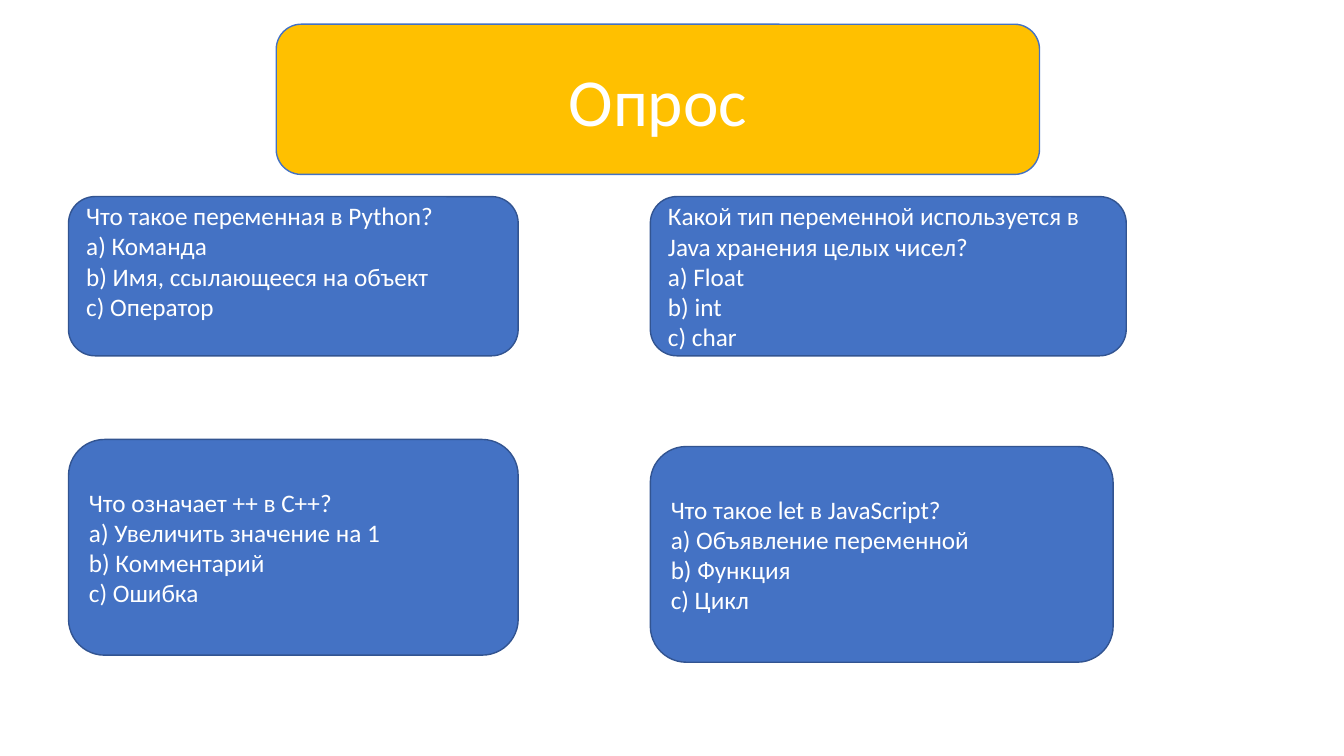
from dataclasses import dataclass

from pptx import Presentation
from pptx.dml.color import RGBColor
from pptx.enum.shapes import MSO_SHAPE
from pptx.enum.text import MSO_ANCHOR, PP_ALIGN
from pptx.util import Inches, Pt

ROUNDED = MSO_SHAPE.ROUNDED_RECTANGLE
MIDDLE = MSO_ANCHOR.MIDDLE
LEFT, CENTER = PP_ALIGN.LEFT, PP_ALIGN.CENTER


@dataclass(frozen=True)
class Theme:
    font: str = "Calibri"
    title_size: int = 48
    body_size: int = 18
    text: RGBColor = RGBColor(0xFF, 0xFF, 0xFF)
    banner: RGBColor = RGBColor(0xFF, 0xC0, 0x00)
    card: RGBColor = RGBColor(0x44, 0x72, 0xC4)
    card_line: RGBColor = RGBColor(0x32, 0x54, 0x91)


theme = Theme()


def add_panel(s, box, fill, line):
    sp = s.shapes.add_shape(ROUNDED, *(Inches(v) for v in box))
    sp.shadow.inherit = False
    sp.fill.solid()
    sp.fill.fore_color.rgb = fill
    sp.line.color.rgb = line
    sp.line.width = Pt(1)
    return sp


def set_text(sp, text, size, align):
    """Fill a shape with text, one paragraph per line, centred vertically."""
    tf = sp.text_frame
    tf.text = text
    tf.word_wrap = True
    tf.vertical_anchor = MIDDLE
    for p in tf.paragraphs:
        p.alignment = align
        for r in p.runs:
            r.font.name = theme.font
            r.font.size = Pt(size)
            r.font.color.rgb = theme.text


prs = Presentation()
prs.slide_width, prs.slide_height = Inches(13.33), Inches(7.5)
s = prs.slides.add_slide(prs.slide_layouts[5])

# Title on its banner
banner = add_panel(s, (2.74, 0.24, 7.57, 1.49), theme.banner, theme.card)
title = s.shapes.title
title.left, title.top = banner.left, banner.top
title.width, title.height = banner.width, banner.height
set_text(title, "Опрос", theme.title_size, CENTER)
s.shapes._spTree.append(title._element)

# Question cards: column, top, width, height, extra space below the text
columns = (0.68, 6.45)
questions = [
    (0, 1.95, 4.46, 1.58, 0.3, "Что такое переменная в Python?",
     ("Команда", "Имя, ссылающееся на объект", "Оператор")),
    (1, 1.95, 4.72, 1.58, 0,
     "Какой тип переменной используется в Java хранения целых чисел?",
     ("Float", "int", "char")),
    (0, 4.36, 4.46, 2.14, 0, "Что означает ++ в C++?",
     ("Увеличить значение на 1", "Комментарий", "Ошибка")),
    (1, 4.43, 4.59, 2.14, 0, "Что такое let в JavaScript?",
     ("Объявление переменной", "Функция", "Цикл")),
]
for col, top, width, height, space_below, question, answers in questions:
    card = add_panel(s, (columns[col], top, width, height),
                     theme.card, theme.card_line)
    lines = [question] + [f"{key}) {answer}" for key, answer in zip("abc", answers)]
    set_text(card, "\n".join(lines), theme.body_size, LEFT)
    card.text_frame.margin_bottom = Inches(0.05 + space_below)

prs.save("out.pptx")
